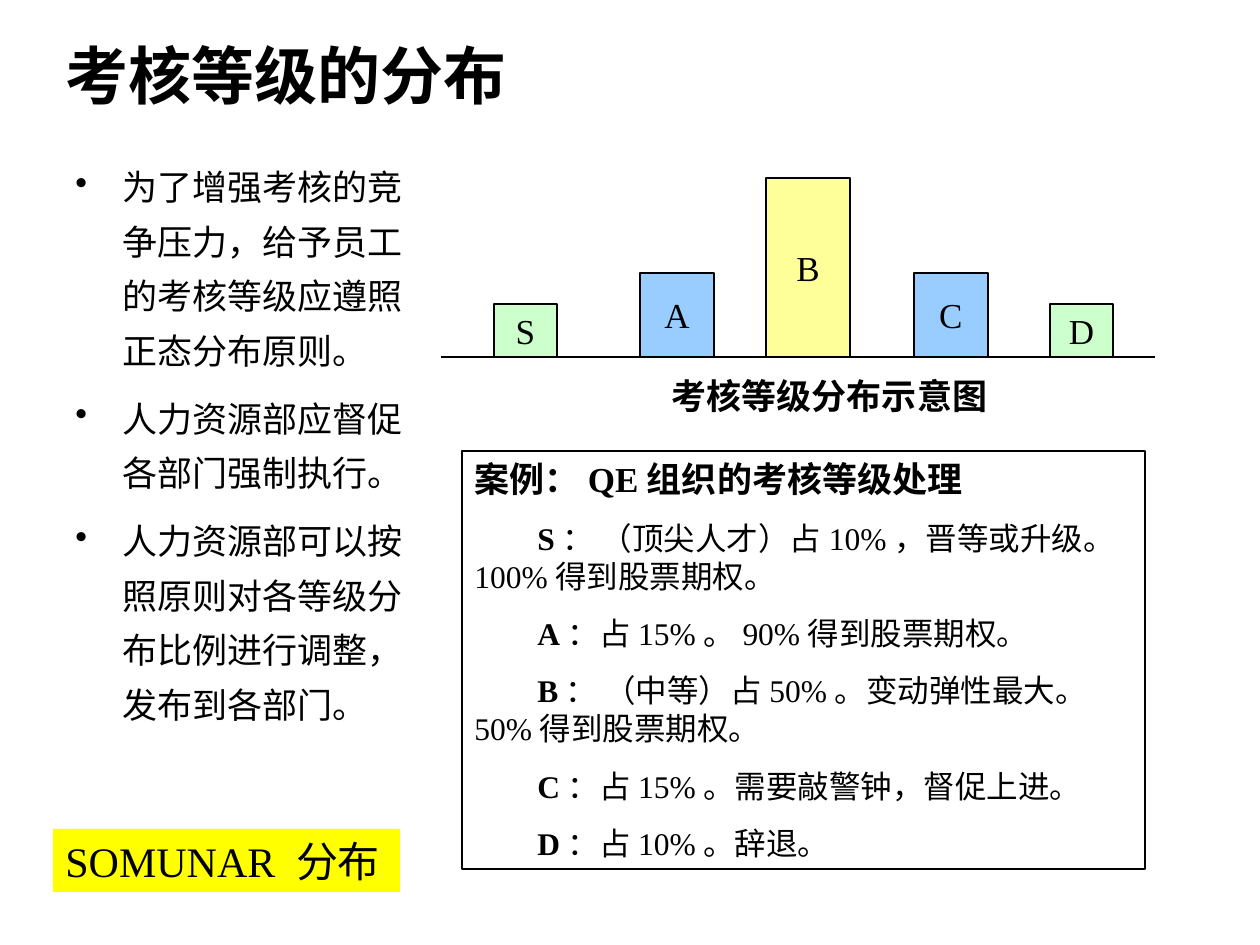
"""Build a slide on the distribution of appraisal grades."""
from pptx import Presentation
from pptx import util as u
from pptx.dml.color import RGBColor
from pptx.enum import shapes, text
from pptx.oxml.ns import qn
from lxml import etree

SCALE = 914400 / 126
FONT = "Times New Roman"
COLORS = {"ink": "000000", "green": "CCFFCC", "blue": "99CCFF",
          "pale": "FFFF99", "yellow": "FFFF00"}


def px(*values):
    return [u.Emu(round(v * SCALE)) for v in values]


def add_run(p, words, size, bold=False):
    r = p.add_run()
    r.text = words
    r.font.name, r.font.size, r.font.bold = FONT, u.Pt(size), bold
    r.font.color.rgb = RGBColor.from_string(COLORS["ink"])


prs = Presentation()
prs.slide_width, prs.slide_height = px(1260, 945)
s = prs.slides.add_slide(prs.slide_layouts[6])

title = s.shapes.add_textbox(*px(53, 32, 1155, 84))
tf = title.text_frame
tf.word_wrap = True
tf.vertical_anchor = text.MSO_ANCHOR.MIDDLE
add_run(tf.paragraphs[0], "考核等级的分布", 36, True)

principles = [
    "为了增强考核的竞争压力，给予员工的考核等级应遵照正态分布原则。",
    "人力资源部应督促各部门强制执行。",
    "人力资源部可以按照原则对各等级分布比例进行调整，发布到各部门。",
]
body = s.shapes.add_textbox(*px(63, 147, 357, 630))
tf = body.text_frame
tf.word_wrap = True
for i, words in enumerate(principles):
    p = tf.add_paragraph() if i else tf.paragraphs[0]
    pPr = p._p.get_or_add_pPr()
    indent, = px(47)
    pPr.set("marL", str(indent))
    pPr.set("indent", str(-indent))
    etree.SubElement(pPr, qn("a:buChar"), char="•")
    p.line_spacing = 1.3
    p.space_before = u.Pt(7.5 if i else 0)
    add_run(p, words, 20)

BASE = 357
axis = s.shapes.add_connector(shapes.MSO_CONNECTOR.STRAIGHT, *px(441, BASE, 1155, BASE))
axis.line.color.rgb = RGBColor.from_string(COLORS["ink"])
axis.line.width = u.Pt(0.75)
etree.SubElement(axis._element.spPr, qn("a:effectLst"))

bars = [("S", 494, 63, 53, "green"), ("A", 640, 74, 84, "blue"),
        ("B", 766, 84, 179, "pale"), ("C", 914, 74, 84, "blue"),
        ("D", 1050, 63, 53, "green")]
for grade, left, width, height, color in bars:
    sp = s.shapes.add_shape(shapes.MSO_SHAPE.RECTANGLE,
                            *px(left, BASE - height, width, height))
    sp.shadow.inherit = False
    sp.fill.solid()
    sp.fill.fore_color.rgb = RGBColor.from_string(COLORS[color])
    sp.line.color.rgb = RGBColor.from_string(COLORS["ink"])
    sp.line.width = u.Pt(0.75)
    tf = sp.text_frame
    tf.word_wrap = False
    tf.vertical_anchor = text.MSO_ANCHOR.MIDDLE
    p = tf.paragraphs[0]
    p.alignment = text.PP_ALIGN.CENTER
    add_run(p, grade, 20)

caption = s.shapes.add_textbox(*px(609, 368, 441, 55))
tf = caption.text_frame
tf.word_wrap = True
p = tf.paragraphs[0]
p.alignment = text.PP_ALIGN.CENTER
add_run(p, "考核等级分布示意图", 20, True)

rules = [
    ("S", "： （顶尖人才）占10%，晋等或升级。100%得到股票期权。"),
    ("A", "：占15%。90%得到股票期权。"),
    ("B", "： （中等）占50%。变动弹性最大。50%得到股票期权。"),
    ("C", "：占15%。需要敲警钟，督促上进。"),
    ("D", "：占10%。辞退。"),
]
case = s.shapes.add_textbox(*px(462, 451, 683, 418))
case.line.color.rgb = RGBColor.from_string(COLORS["ink"])
case.line.width = u.Pt(0.75)
tf = case.text_frame
tf.word_wrap = True
tf.auto_size = text.MSO_AUTO_SIZE.SHAPE_TO_FIT_TEXT
add_run(tf.paragraphs[0], "案例：QE组织的考核等级处理", 20, True)
for grade, words in rules:
    p = tf.add_paragraph()
    pPr = p._p.get_or_add_pPr()
    pPr.set("marL", "0")
    pPr.set("indent", str(px(63)[0]))
    p.space_before = u.Pt(11.2)
    add_run(p, grade, 18, True)
    add_run(p, words, 18)

tag = s.shapes.add_textbox(*px(53, 829, 347, 63))
tag.fill.solid()
tag.fill.fore_color.rgb = RGBColor.from_string(COLORS["yellow"])
tf = tag.text_frame
tf.word_wrap = True
tf.auto_size = text.MSO_AUTO_SIZE.SHAPE_TO_FIT_TEXT
add_run(tf.paragraphs[0], "SOMUNAR 分布", 24)

prs.save("out.pptx")
